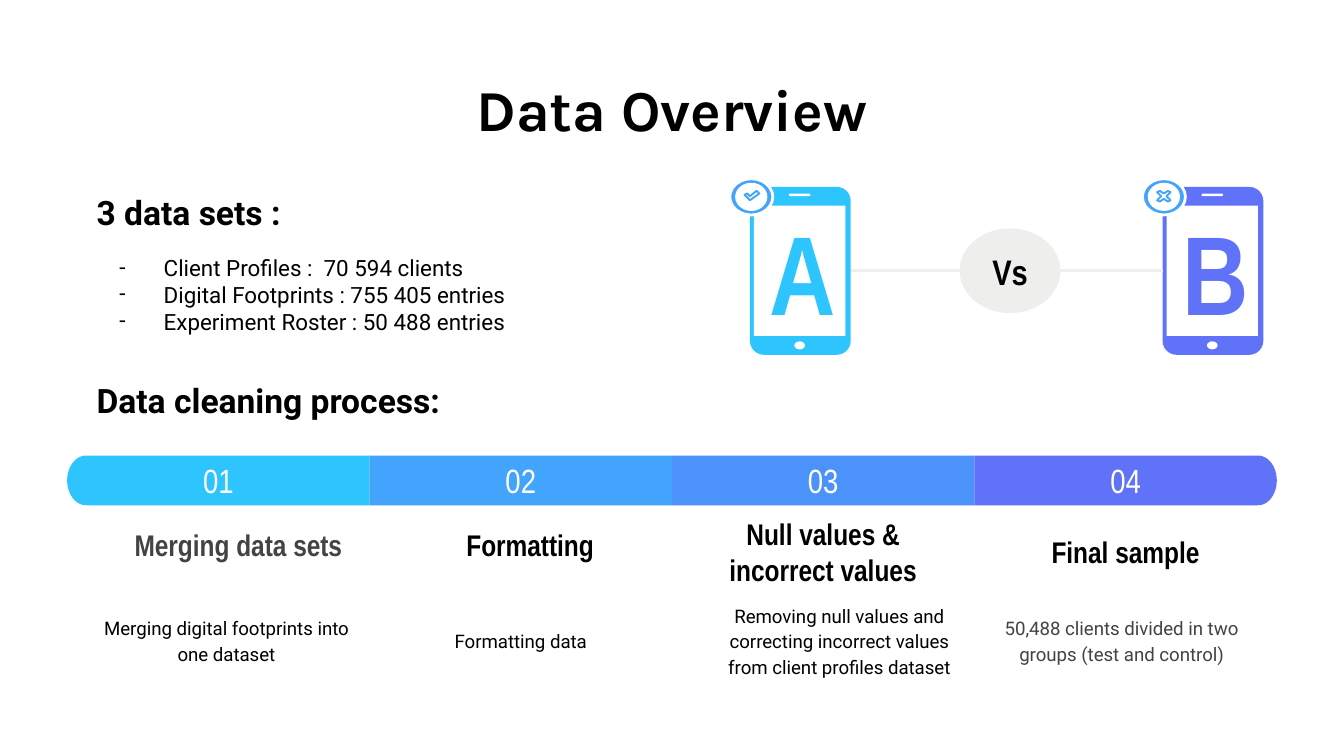
import math
from dataclasses import dataclass

from lxml import etree
from pptx import Presentation
from pptx import util as u
from pptx.dml.color import RGBColor
from pptx.enum import shapes, text
from pptx.oxml import ns

COLORS = {
    "black": "000000", "gray": "434343", "white": "FFFFFF", "pale": "EEEEED",
    "cyan": "2EC5FF", "sky": "42A4FC", "blue": "4B93FB", "violet": "5F72F8",
}
BAR_LEFT, BAR_TOP, BAR_WIDTH, BAR_HEIGHT = 0.5, 3.39, 2.25, 0.37
CAP_DEPTH = 0.14
STEP_TEXT_WIDTH = 2.13
PHONE_TOP, PHONE_WIDTH, PHONE_HEIGHT = 1.39, 0.75, 1.25
VS_LEFT, VS_TOP, VS_WIDTH, VS_HEIGHT = 7.14, 1.7, 0.75, 0.63
LINK_Y = PHONE_TOP + PHONE_HEIGHT / 2

# Badge symbols, as offsets from the badge centre.
CHECK = [(-0.05, -0.01), (-0.03, -0.02), (-0.01, 0), (0.04, -0.04),
         (0.06, -0.02), (-0.01, 0.03)]
CROSS = [(0, -0.02), (0.03, -0.04), (0.05, -0.03), (0.02, 0),
         (0.05, 0.03), (0.03, 0.04), (0, 0.02), (-0.03, 0.04),
         (-0.05, 0.03), (-0.02, 0), (-0.05, -0.03), (-0.03, -0.04)]


@dataclass
class Step:
    heading: str
    detail: str
    color: str
    heading_at: tuple[float, float]
    detail_left: float
    heading_ink: str = "black"
    detail_ink: str = "black"
    cap: int = 0  # -1 rounds the left end, 1 the right end


@dataclass
class Phone:
    letter: str
    color: str
    left: float
    symbol: list[tuple[float, float]]


STEPS = [
    Step("Merging data sets", "Merging digital footprints into one dataset",
         "cyan", (0.71, 3.82), 0.62, heading_ink="gray", cap=-1),
    Step("Formatting", "Formatting data", "sky", (2.88, 3.82), 2.81),
    Step("Null values & incorrect values",
         "Removing null values and correcting incorrect values from client profiles dataset",
         "blue", (5.06, 3.87), 5.18),
    Step("Final sample", "50,488 clients divided in two groups (test and control)",
         "violet", (7.31, 3.87), 7.28, detail_ink="gray", cap=1),
]
PHONES = [Phone("A", "cyan", 5.58, CHECK), Phone("B", "violet", 8.65, CROSS)]
DATA_SETS = [
    "Client Profiles :  70 594 clients",
    "Digital Footprints : 755 405 entries",
    "Experiment Roster : 50 488 entries",
]


def rgb(color: str) -> RGBColor:
    return RGBColor.from_string(COLORS[color])


def paint(shape, fill: str, line: str | None = None, weight: float = 1.5):
    shape.shadow.inherit = False
    shape.fill.solid()
    shape.fill.fore_color.rgb = rgb(fill)
    if line:
        shape.line.color.rgb = rgb(line)
        shape.line.width = u.Pt(weight)
    else:
        shape.line.fill.background()
    return shape


def add_preset(slide, kind, left: float, top: float, width: float, height: float,
               fill: str, line: str | None = None, weight: float = 1.5):
    shape = slide.shapes.add_shape(
        kind, u.Inches(left), u.Inches(top), u.Inches(width), u.Inches(height))
    return paint(shape, fill, line, weight)


def add_outline(slide, points: list[tuple[float, float]]):
    start, *others = [(u.Inches(x), u.Inches(y)) for x, y in points]
    builder = slide.shapes.build_freeform(*start)
    builder.add_line_segments(others, close=True)
    return builder.convert_to_shape()


def style(paragraph, size: float, font: str, color: str, bold: bool, align) -> None:
    paragraph.alignment = align
    paragraph.font.size = u.Pt(size)
    paragraph.font.name = font
    paragraph.font.bold = bold
    paragraph.font.color.rgb = rgb(color)


def write(shape, words: str, size: float, font: str, color: str = "black",
          bold: bool = True, align=text.PP_ALIGN.CENTER, middle: bool = True):
    frame = shape.text_frame
    frame.word_wrap = True
    frame.margin_left = frame.margin_right = u.Inches(0.1)
    frame.margin_top = frame.margin_bottom = u.Inches(0.1)
    frame.vertical_anchor = text.MSO_ANCHOR.MIDDLE if middle else text.MSO_ANCHOR.TOP
    paragraph = frame.paragraphs[0]
    paragraph.text = words
    style(paragraph, size, font, color, bold, align)
    return paragraph


def add_box(slide, left: float, top: float, width: float, height: float):
    return slide.shapes.add_textbox(
        u.Inches(left), u.Inches(top), u.Inches(width), u.Inches(height))


def add_dash(paragraph) -> None:
    properties = paragraph._p.get_or_add_pPr()
    properties.set("marL", str(u.Inches(0.5)))
    properties.set("indent", str(u.Inches(-0.33)))
    for tag, attribute, value in (("a:buFont", "typeface", "Roboto"), ("a:buChar", "char", "-")):
        # Bullet settings come before the default run properties.
        bullet = etree.Element(ns.qn(tag), {attribute: value})
        properties.find(ns.qn("a:defRPr")).addprevious(bullet)


def add_data_sets(slide) -> None:
    box = add_box(slide, 0.62, 1.33, 4.77, 1.31)
    write(box, "3 data sets :", 18, "Roboto", align=text.PP_ALIGN.LEFT, middle=False)
    for number, words in enumerate(DATA_SETS):
        item = box.text_frame.add_paragraph()
        item.text = words
        style(item, 12, "Roboto", "black", False, text.PP_ALIGN.LEFT)
        if number == 0:
            item.space_before = u.Pt(11.5)
        add_dash(item)


def add_bar(slide, left: float, step: Step):
    if not step.cap:
        return add_preset(slide, shapes.MSO_SHAPE.RECTANGLE, left, BAR_TOP,
                          BAR_WIDTH, BAR_HEIGHT, step.color)
    flat_x = left + (BAR_WIDTH if step.cap < 0 else 0)
    curve_x = left + (CAP_DEPTH if step.cap < 0 else BAR_WIDTH - CAP_DEPTH)
    radius = BAR_HEIGHT / 2
    angles = [math.radians(degrees) for degrees in range(-90, 91, 6)]
    curve = [(curve_x + step.cap * CAP_DEPTH * math.cos(angle),
              BAR_TOP + radius + radius * math.sin(angle)) for angle in angles]
    corners = [(flat_x, BAR_TOP + BAR_HEIGHT), (flat_x, BAR_TOP)]
    return paint(add_outline(slide, curve + corners), step.color)


def add_step(slide, index: int, step: Step) -> None:
    bar = add_bar(slide, BAR_LEFT + index * BAR_WIDTH, step)
    write(bar, f"{index + 1:02}", 18, "Arial Narrow", "white", bold=False)
    heading = add_box(slide, *step.heading_at, STEP_TEXT_WIDTH, 0.47)
    write(heading, step.heading, 16, "Arial Narrow", step.heading_ink)
    detail = add_box(slide, step.detail_left, 4.34, STEP_TEXT_WIDTH, 0.84)
    write(detail, step.detail, 10, "Roboto", step.detail_ink, bold=False).line_spacing = 1.15


def add_phone(slide, phone: Phone):
    """Draw the phone with its letter and badge, and return its body."""
    kinds = shapes.MSO_SHAPE
    left = phone.left
    body = add_preset(slide, kinds.ROUNDED_RECTANGLE, left, PHONE_TOP,
                      PHONE_WIDTH, PHONE_HEIGHT, phone.color)
    body.adjustments[0] = 0.14
    add_preset(slide, kinds.RECTANGLE, left + 0.03, 1.53, 0.68, 0.97, "white")
    speaker = add_preset(slide, kinds.ROUNDED_RECTANGLE, left + 0.29, 1.44, 0.16, 0.02, "white")
    speaker.adjustments[0] = 0.5
    add_preset(slide, kinds.OVAL, left + 0.33, 2.54, 0.08, 0.06, "white")
    write(add_box(slide, left + 0.05, 1.87, 0.65, 0.29), phone.letter, 60,
          "Arial Narrow", phone.color)

    add_preset(slide, kinds.OVAL, left - 0.15, 1.33, 0.32, 0.27, "sky", "white")
    add_preset(slide, kinds.OVAL, left - 0.11, 1.36, 0.24, 0.21, "white")
    symbol = [(left + 0.01 + x, 1.46 + y) for x, y in phone.symbol]
    paint(add_outline(slide, symbol), "white", "sky", 1)
    return body


def add_link(slide, phone_body, side: int, vs_x: float) -> None:
    """Join a side of the phone to the edge of the Vs circle."""
    link = slide.shapes.add_connector(
        shapes.MSO_CONNECTOR.STRAIGHT, u.Inches(vs_x), u.Inches(LINK_Y),
        u.Inches(vs_x), u.Inches(LINK_Y))
    link.end_connect(phone_body, side)
    link.line.color.rgb = rgb("pale")
    link.line.width = u.Pt(1.5)
    etree.SubElement(link._element.spPr, ns.qn("a:effectLst"))


def main() -> None:
    deck = Presentation()
    deck.slide_width, deck.slide_height = u.Inches(10), u.Inches(10 * 9 / 16)
    slide = deck.slides.add_slide(deck.slide_layouts[6])

    write(add_box(slide, 0.5, 0.45, 9, 0.64), "Data Overview", 31, "Karla", middle=False)
    add_data_sets(slide)
    write(add_box(slide, 0.62, 2.73, 2.91, 0.57), "Data cleaning process:", 18, "Roboto",
          align=text.PP_ALIGN.LEFT, middle=False)
    for index, step in enumerate(STEPS):
        add_step(slide, index, step)

    phone_a, phone_b = [add_phone(slide, phone) for phone in PHONES]
    add_link(slide, phone_a, 3, VS_LEFT)
    add_link(slide, phone_b, 1, VS_LEFT + VS_WIDTH)
    add_preset(slide, shapes.MSO_SHAPE.OVAL, VS_LEFT, VS_TOP, VS_WIDTH, VS_HEIGHT, "pale")
    write(add_box(slide, 7.19, 1.87, 0.65, 0.29), "Vs", 19, "Arial Narrow")
    deck.save("out.pptx")


if __name__ == "__main__":
    main()
